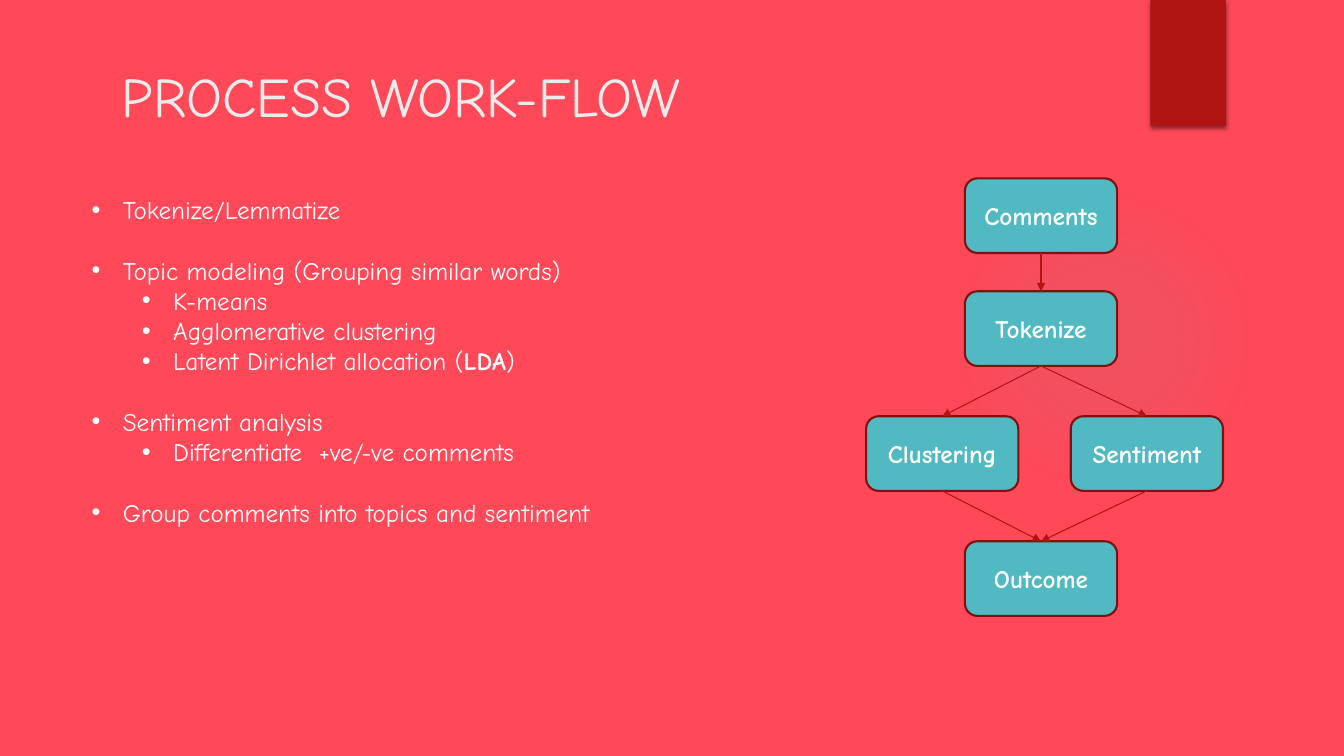
import pptx
import pptx.util
import pptx.oxml
import pptx.oxml.ns
import pptx.dml.color
import pptx.enum.shapes
import pptx.enum.text
from lxml import etree

Inches, Pt = pptx.util.Inches, pptx.util.Pt
SHAPE = pptx.enum.shapes.MSO_SHAPE
ANCHOR = pptx.enum.text.MSO_ANCHOR
ALIGN = pptx.enum.text.PP_ALIGN
qn = pptx.oxml.ns.qn
FONT = "Comic Neue"
COLORS = {"bg": "FF4858", "teal": "50B9C1", "red": "B01513", "edge": "82100E",
          "title": "EBEBEB", "white": "FFFFFF", "black": "000000"}
BULLETS = [
    (0, 0, ["Tokenize/Lemmatize"]),
    (0, 1, ["Topic modeling (Grouping similar words)"]),
    (1, 0, ["K-means"]),
    (1, 0, ["Agglomerative clustering"]),
    (1, 0, ["Latent Dirichlet allocation (", "LDA", ")"]),
    (0, 1, ["Sentiment analysis"]),
    (1, 0, ["Differentiate  +ve/-ve comments"]),
    (0, 1, ["Group comments into topics and sentiment"]),
]
NODES = {"Comments": (0.98, 0), "Tokenize": (0.98, 1.12), "Clustering": (0, 2.36),
         "Sentiment": (2.03, 2.36), "Outcome": (0.98, 3.6)}
LINKS = [("Comments", "Tokenize"), ("Tokenize", "Clustering"), ("Tokenize", "Sentiment"),
         ("Clustering", "Outcome"), ("Sentiment", "Outcome")]


def rgb(name):
    """Return the named colour."""
    return pptx.dml.color.RGBColor.from_string(COLORS[name])


def add_run(p, text, size=18, color="white", bold=False):
    """Add a formatted run to a paragraph."""
    r = p.add_run()
    r.text = text
    r.font.name, r.font.size, r.font.bold = FONT, Pt(size), bold
    r.font.color.rgb = rgb(color)


def add_block(slide, kind, box, fill, line=None):
    """Add a filled preset shape without theme effects."""
    sp = slide.shapes.add_shape(kind, *map(Inches, box))
    sp.shadow.inherit = False
    sp.fill.solid()
    sp.fill.fore_color.rgb = rgb(fill)
    if line:
        sp.line.color.rgb = rgb(line)
        sp.line.width = Pt(1.5)
    else:
        sp.line.fill.background()
    return sp


def add_textbox(slide, box, anchor):
    """Add a wrapping text box and return its frame."""
    tf = slide.shapes.add_textbox(*map(Inches, box)).text_frame
    tf.word_wrap, tf.vertical_anchor = True, anchor
    return tf


def add_glow(slide, box):
    """Add the faint radial glow behind the diagram."""
    sp = add_block(slide, SHAPE.OVAL, box, "teal")
    stops = "".join(
        f'<a:gs pos="{pos * 1000}"><a:srgbClr val="{COLORS["teal"]}">'
        f'<a:alpha val="{alpha * 1000}"/></a:srgbClr></a:gs>'
        for pos, alpha in [(0, 7), (36, 6), (69, 0)])
    grad = pptx.oxml.parse_xml(
        f'<a:gradFill {pptx.oxml.ns.nsdecls("a")}><a:gsLst>{stops}</a:gsLst>'
        '<a:path path="circle"><a:fillToRect l="50000" t="50000" r="50000" b="50000"/>'
        '</a:path></a:gradFill>')
    props = sp._element.spPr
    props.replace(props.find(qn("a:solidFill")), grad)


def add_ribbon(slide, box):
    """Add the dark red tab with its soft shadow."""
    sp = add_block(slide, SHAPE.RECTANGLE, box, "red")
    effects = sp._element.spPr.find(qn("a:effectLst"))
    shadow = etree.SubElement(effects, qn("a:outerShdw"), blurRad=str(Pt(3)), dist=str(Pt(2)),
                              dir="5400000", rotWithShape="0")
    color = etree.SubElement(shadow, qn("a:srgbClr"), val=COLORS["black"])
    etree.SubElement(color, qn("a:alpha"), val="45000")


def add_title(slide, box, text):
    """Add the slide title."""
    tf = add_textbox(slide, box, ANCHOR.BOTTOM)
    add_run(tf.paragraphs[0], text, size=40, color="title")


def add_bullets(slide, box):
    """Add the two-level list of steps."""
    tf = add_textbox(slide, box, ANCHOR.TOP)
    for i, (level, gap, texts) in enumerate(BULLETS):
        p = tf.add_paragraph() if i else tf.paragraphs[0]
        p.level = level
        props = p._p.get_or_add_pPr()
        props.set("marL", str(Inches(0.31 + 0.5 * level)))
        props.set("indent", str(Inches(-0.31)))
        etree.SubElement(props, qn("a:buFont"), typeface="Arial")
        etree.SubElement(props, qn("a:buChar"), char="•")
        if gap:
            p.space_before = Pt(21.6)
        for text in texts:
            add_run(p, text, bold=text == "LDA")


def add_arrow(slide, start, end):
    """Join the bottom of one node to the top of another."""
    cx = slide.shapes.add_connector(pptx.enum.shapes.MSO_CONNECTOR.STRAIGHT, 0, 0, 0, 0)
    cx.begin_connect(start, 2)
    cx.end_connect(end, 0)
    cx.line.color.rgb = rgb("red")
    cx.line.width = Pt(0.75)
    etree.SubElement(cx.line._get_or_add_ln(), qn("a:tailEnd"), type="triangle")
    etree.SubElement(cx._element.spPr, qn("a:effectLst"))


def add_flow(slide, left, top):
    """Add the flow chart with its top left corner at the given point."""
    nodes = {}
    for name, (x, y) in NODES.items():
        sp = add_block(slide, SHAPE.ROUNDED_RECTANGLE, (left + x, top + y, 1.51, 0.74),
                       "teal", line="edge")
        tf = sp.text_frame
        tf.vertical_anchor = ANCHOR.MIDDLE
        p = tf.paragraphs[0]
        p.alignment = ALIGN.CENTER
        add_run(p, name, bold=True)
        nodes[name] = sp
    for start, end in LINKS:
        add_arrow(slide, nodes[start], nodes[end])


def main():
    """Build the slide and save it."""
    prs = pptx.Presentation()
    prs.slide_width, prs.slide_height = Inches(13.33), Inches(7.5)
    s = prs.slides.add_slide(prs.slide_layouts[6])
    s.background.fill.solid()
    s.background.fill.fore_color.rgb = rgb("bg")
    add_glow(s, (9.41, 1.83, 3.08, 3.08))
    add_ribbon(s, (11.41, 0, 0.75, 1.25))
    add_title(s, (1.11, 0.39, 9.65, 0.94), "PROCESS WORK-FLOW")
    add_bullets(s, (0.81, 1.88, 5.24, 3.5))
    add_flow(s, 8.59, 1.77)
    prs.save("out.pptx")


if __name__ == "__main__":
    main()
